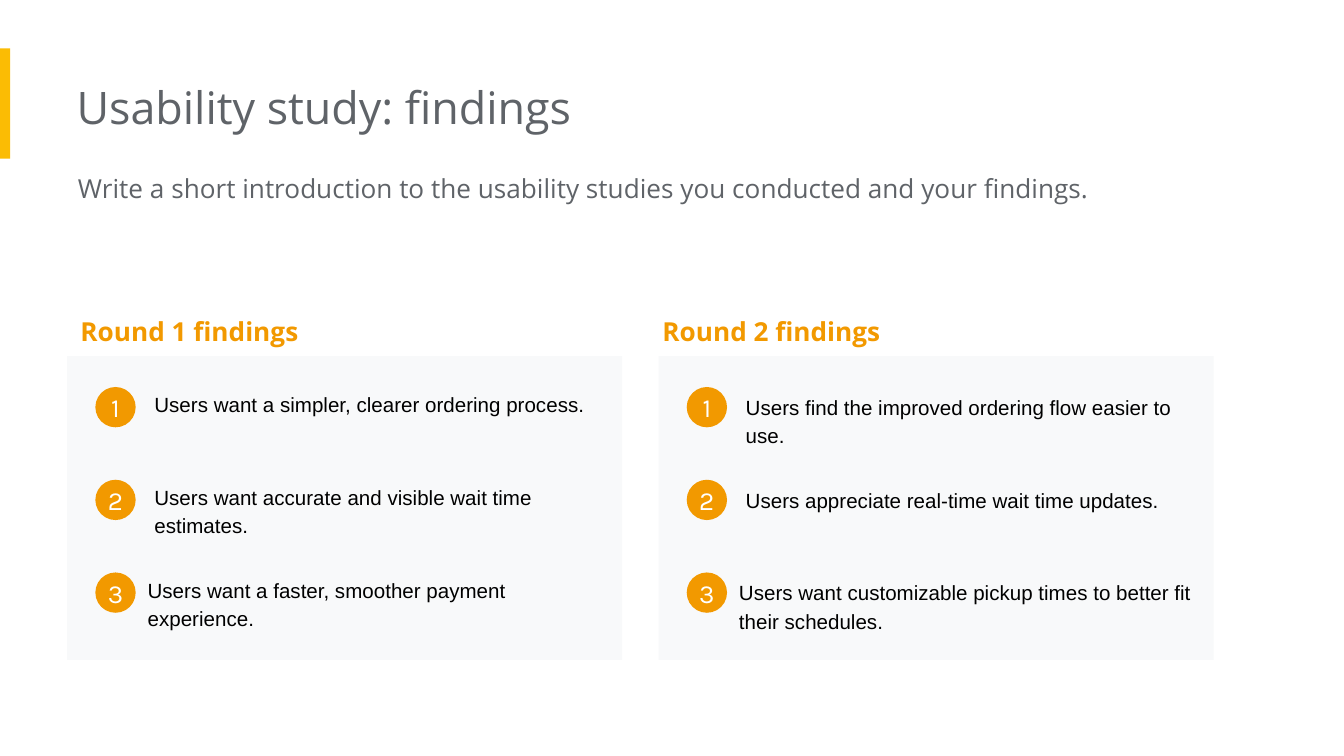
from pptx import Presentation
from pptx.dml.color import RGBColor
from pptx.enum.shapes import MSO_SHAPE
from pptx.enum.text import MSO_ANCHOR, MSO_AUTO_SIZE, PP_ALIGN
from pptx.util import Pt

PX = 4572  # EMU per px, 200 px to the inch
SLIDE_W, SLIDE_H = 2000, 1125
RECT, OVAL = MSO_SHAPE.RECTANGLE, MSO_SHAPE.OVAL
TOP, MIDDLE = MSO_ANCHOR.TOP, MSO_ANCHOR.MIDDLE
GROW = MSO_AUTO_SIZE.SHAPE_TO_FIT_TEXT
CENTER = PP_ALIGN.CENTER

COLORS = {
    "accent": "FBBC04",
    "orange": "F29900",
    "gray": "5F6368",
    "panel": "F8F9FA",
    "black": "000000",
    "white": "FFFFFF",
}

MARGIN = 20
TEXT_W = 730
PANEL_TOP, PANEL_W, PANEL_H = 530, 826, 452
BADGE_TOP, BADGE_SIZE, ROW_STEP = 576, 60, 138
ONE_LINE, TWO_LINES = 82, 126

# Panel left, heading, heading left, first text top, (text, height) items
ROUNDS = [
    (100, "Round 1 findings", 100, 558, [
        ("Users want a simpler, clearer ordering process.", ONE_LINE),
        ("Users want accurate and visible wait time estimates.", TWO_LINES),
        ("Users want a faster, smoother payment experience.", TWO_LINES),
    ]),
    (980, "Round 2 findings", 966, 562, [
        ("Users find the improved ordering flow easier to use.", TWO_LINES),
        ("Users appreciate real-time wait time updates.", ONE_LINE),
        ("Users want customizable pickup times to better fit their schedules.",
         TWO_LINES),
    ]),
]
TEXT_OFFSETS = [110, 110, 100]  # from the panel's left edge, by row


def color(name):
    return RGBColor.from_string(COLORS[name])


def box(x, y, w, h):
    return [v * PX for v in (x, y, w, h)]


def set_margins(tf, left, rest):
    tf.margin_left = left * PX
    tf.margin_top = tf.margin_right = tf.margin_bottom = rest * PX


def style_text(p, size, font, fill, bold=False):
    f = p.runs[0].font
    f.size, f.name, f.bold = Pt(size), font, bold
    f.color.rgb = color(fill)


def add_shape(s, kind, x, y, w, h, fill):
    sp = s.shapes.add_shape(kind, *box(x, y, w, h))
    sp.shadow.inherit = False
    sp.fill.solid()
    sp.fill.fore_color.rgb = color(fill)
    sp.line.fill.background()
    return sp


def add_text(s, x, y, w, h, text, size, font, fill,
             bold=False, left=MARGIN, spacing=1.15):
    tf = s.shapes.add_textbox(*box(x, y, w, h)).text_frame
    tf.word_wrap = True
    tf.auto_size = GROW
    tf.vertical_anchor = TOP
    set_margins(tf, left, MARGIN)
    tf.text = text
    p = tf.paragraphs[0]
    p.line_spacing = spacing
    style_text(p, size, font, fill, bold)


def add_badge(s, x, y, number):
    sp = add_shape(s, OVAL, x, y, BADGE_SIZE, BADGE_SIZE, "orange")
    tf = sp.text_frame
    set_margins(tf, 0, 0)
    tf.vertical_anchor = MIDDLE
    tf.text = str(number)
    p = tf.paragraphs[0]
    p.alignment = CENTER
    style_text(p, 14, "Karla", "white")


def add_round(s, x, heading, heading_x, text_top, items):
    add_text(s, heading_x, 442, TEXT_W, 88, heading, 14, "Open Sans",
             "orange", bold=True)
    add_shape(s, RECT, x, PANEL_TOP, PANEL_W, PANEL_H, "panel")
    for i, (text, h) in enumerate(items):
        dy = i * ROW_STEP
        add_text(s, x + TEXT_OFFSETS[i], text_top + dy, TEXT_W, h,
                 text, 11, "Arial", "black")
        add_badge(s, x + 42, BADGE_TOP + dy, i + 1)


def main():
    prs = Presentation()
    prs.slide_width, prs.slide_height = SLIDE_W * PX, SLIDE_H * PX
    s = prs.slides.add_slide(prs.slide_layouts[6])

    # Title and introduction
    add_shape(s, RECT, 0, 72, 15, 164, "accent")
    add_text(s, 114, 98, 1346, 122, "Usability study: findings",
             24, "Open Sans", "gray", left=0, spacing=1.0)
    add_text(s, 116, 230, 1722, 142,
             "Write a short introduction to the usability studies "
             "you conducted and your findings.",
             14, "Open Sans", "gray", left=0)

    # Findings of each round
    for study_round in ROUNDS:
        add_round(s, *study_round)

    prs.save("out.pptx")


if __name__ == "__main__":
    main()
